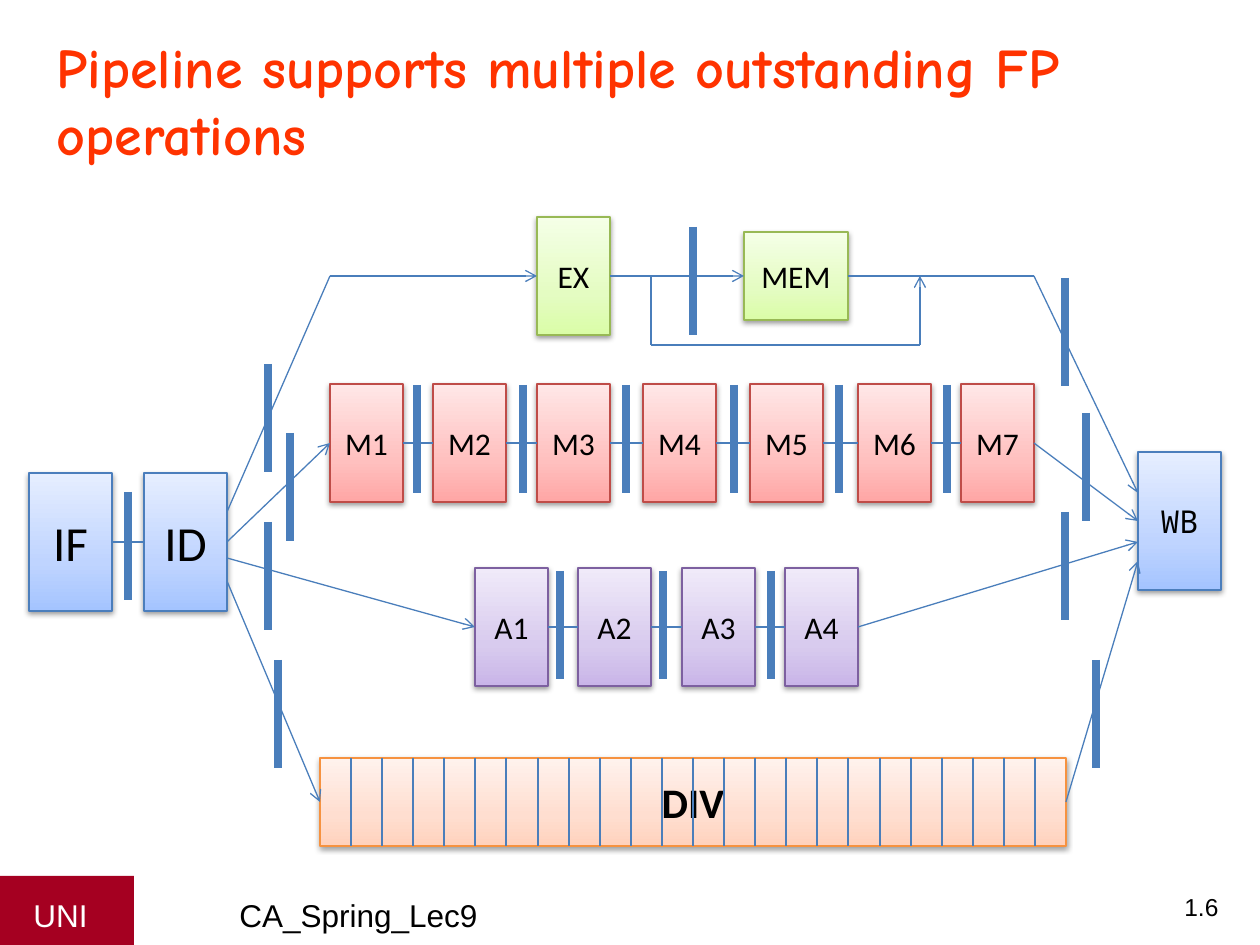
from copy import deepcopy

from lxml import etree
from pptx import Presentation
from pptx import util as u
from pptx.dml.color import RGBColor
from pptx.enum import shapes, text
from pptx.oxml import parse_xml
from pptx.oxml.ns import nsdecls, qn

PX = 7257  # EMU per px, 126 px to the inch

THEME = {
    "title": {"name": "Comic Neue", "size": 32, "bold": True, "color": "FF3300"},
    "badge": {"name": "Arial", "size": 18, "color": "FFFFFF"},
    "footer": {"name": "Arial", "size": 18, "color": "000000"},
    "number": {"name": "Arial", "size": 14, "color": "000000"},
    "front": {"name": "Calibri", "size": 28, "color": "000000"},
    "stage": {"name": "Calibri", "size": 18, "color": "000000"},
    "write back": {"name": "Noto Sans Mono", "size": 18, "color": "000000"},
    "divide": {"name": "Calibri", "size": 24, "bold": True, "color": "000000"},
    # outline, then gradient from bottom to top
    "blue": ("4B7EBC", "A4C4FF", "BFD4FF", "E6EEFF"),
    "green": ("98B955", "DAFDA7", "E4FCC2", "F5FFE7"),
    "red": ("BF4C48", "FFA6A5", "FFC0BF", "FFE7E7"),
    "purple": ("7D60A0", "C9B5E8", "D8CBEE", "F0EAF9"),
    "orange": ("F69240", "FFD2BD", "FFDED0", "FFF2ED"),
    "wire": "4A7EBB",
    "badge fill": "A50021",
}
SHADOW = (
    f'<a:effectLst {nsdecls("a")}><a:outerShdw blurRad="40000" dist="20000" dir="5400000" '
    'rotWithShape="0"><a:srgbClr val="000000"><a:alpha val="38000"/></a:srgbClr>'
    "</a:outerShdw></a:effectLst>"
)

prs = Presentation()
prs.slide_width, prs.slide_height = 1260 * PX, 945 * PX
s = prs.slides.add_slide(prs.slide_layouts[5])
boxes = {}


def write(sp, words, style, align):
    tf = sp.text_frame
    tf.word_wrap = True
    tf.auto_size = text.MSO_AUTO_SIZE.NONE
    p = tf.paragraphs[0]
    p.alignment = align
    r = p.add_run()
    r.text = words
    for key, value in THEME[style].items():
        if key == "color":
            r.font.color.rgb = RGBColor.from_string(value)
        else:
            setattr(r.font, key, u.Pt(value) if key == "size" else value)


def link(start, end, arrow=False, width=0.75):
    """Draw a line; each end is an (x, y) point or a (box name, side) pair."""
    ends = [(0, 0) if e[0] in boxes else e for e in (start, end)]
    cx = s.shapes.add_connector(
        shapes.MSO_CONNECTOR.STRAIGHT, *(v * PX for e in ends for v in e))
    if start[0] in boxes:
        cx.begin_connect(boxes[start[0]], start[1])
    if end[0] in boxes:
        cx.end_connect(boxes[end[0]], end[1])
    cx.line.color.rgb = RGBColor.from_string(THEME["wire"])
    cx.line.width = u.Pt(width)
    if arrow:
        etree.SubElement(cx.line._get_or_add_ln(), qn("a:tailEnd"), type="arrow")
    etree.SubElement(cx._element.spPr, qn("a:effectLst"))


# Title and footer
title = s.shapes.title
title.left, title.top, title.width, title.height = (v * PX for v in (44, 35, 1188, 129))
title.text_frame.vertical_anchor = text.MSO_ANCHOR.MIDDLE
write(title, "Pipeline supports multiple outstanding FP operations", "title", text.PP_ALIGN.LEFT)

badge = s.shapes.add_shape(
    shapes.MSO_SHAPE.RECTANGLE, 0, 876 * PX, 134 * PX, 69 * PX)
badge.fill.solid()
badge.fill.fore_color.rgb = RGBColor.from_string(THEME["badge fill"])
badge.line.fill.background()
badge.shadow.inherit = False

for words, style, area in (
    ("UNI", "badge", (21, 890, 100, 48)),
    ("CA_Spring_Lec9", "footer", (227, 890, 493, 55)),
    ("1.6", "number", (1172, 886, 88, 49)),
):
    sp = s.shapes.add_textbox(*(v * PX for v in area))
    write(sp, words, style, text.PP_ALIGN.LEFT)

# Pipeline stages
multiply = [330, 433, 537, 643, 750, 858, 961]
add = [475, 578, 682, 785]
stages = [
    ("IF", "blue", "front", (29, 473, 83, 138)),
    ("ID", "blue", "front", (144, 473, 83, 138)),
    ("WB", "blue", "write back", (1138, 452, 83, 138)),
    ("EX", "green", "stage", (537, 217, 73, 118)),
    ("MEM", "green", "stage", (744, 232, 104, 88)),
    ("DIV", "orange", "divide", (320, 758, 746, 88)),
]
for unit, color, lefts, top in (("M", "red", multiply, 384), ("A", "purple", add, 568)):
    stages += [(f"{unit}{i}", color, "stage", (x, top, 73, 118))
               for i, x in enumerate(lefts, 1)]

for name, color, style, area in stages:
    sp = s.shapes.add_shape(shapes.MSO_SHAPE.RECTANGLE, *(v * PX for v in area))
    outline, *shades = THEME[color]
    sp.fill.gradient()
    sp.fill.gradient_angle = 90
    first = sp._element.spPr.find(".//" + qn("a:gs"))
    first.addnext(deepcopy(first))
    for stop, position, shade in zip(sp.fill.gradient_stops, (0, 0.35, 1), shades):
        stop.position = position
        stop.color.rgb = RGBColor.from_string(shade)
    sp.line.color.rgb = RGBColor.from_string(outline)
    sp.line.width = u.Pt(0.75)
    sp._element.spPr.append(parse_xml(SHADOW))
    sp.text_frame.vertical_anchor = text.MSO_ANCHOR.MIDDLE
    write(sp, name, style, text.PP_ALIGN.CENTER)
    boxes[name] = sp

# Wires inside each unit
link(("IF", 3), ("ID", 1))
for unit, count in (("M", len(multiply)), ("A", len(add))):
    for i in range(1, count):
        link((f"{unit}{i}", 3), (f"{unit}{i + 1}", 1))
for i in range(1, 24):
    x = 320 + round(746 * i / 24)
    link((x, 758), (x, 846))

# Wires from decode, through the units, to write back
for start, end, arrow in (
    ((227, 512), (330, 276), False),
    ((330, 276), ("EX", 1), True),
    (("EX", 3), ("MEM", 1), True),
    (("MEM", 3), (1034, 276), False),
    ((1034, 276), (1138, 493), True),
    ((651, 276), (651, 345), False),
    ((651, 345), (920, 345), False),
    ((920, 345), (920, 276), True),
    (("ID", 3), ("M1", 1), True),
    (("M7", 3), ("WB", 1), True),
    ((227, 558), ("A1", 1), True),
    (("A4", 3), (1138, 542), True),
    ((227, 581), ("DIV", 1), True),
    (("DIV", 3), (1138, 561), True),
):
    link(start, end, arrow)

# Pipeline registers: top of each bar, then the x positions that share it
for top, xs in (
    (227, [693]),
    (278, [1065]),
    (364, [268]),
    (385, [417, 523, 626, 734, 839, 947]),
    (413, [1086]),
    (433, [290]),
    (492, [128]),
    (512, [1065]),
    (522, [268]),
    (571, [560, 663, 771]),
    (660, [278, 1096]),
):
    for x in xs:
        link((x, top), (x, top + 108), width=4.5)

prs.save("out.pptx")
